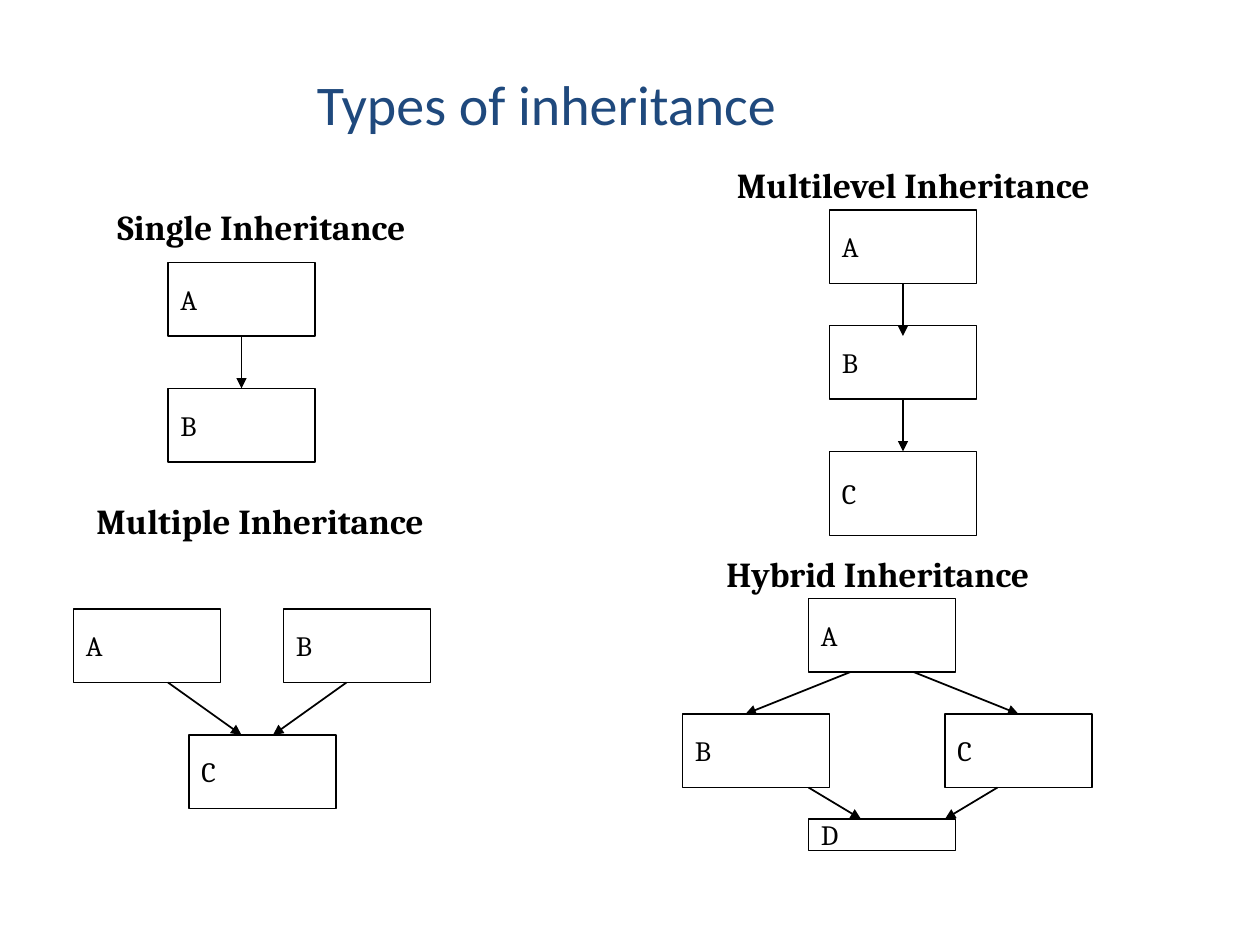
from dataclasses import dataclass

from lxml.etree import SubElement
from pptx import Presentation
from pptx.dml.color import RGBColor
from pptx.enum.shapes import MSO_CONNECTOR, MSO_SHAPE
from pptx.enum.text import MSO_ANCHOR, MSO_AUTO_SIZE, PP_ALIGN
from pptx.oxml.ns import qn
from pptx.slide import Slide
from pptx.text.text import TextFrame
from pptx.util import Cm, Pt

BLACK = "000000"
WHITE = "FFFFFF"
NAVY = "1F497D"
UNITS_PER_INCH = 12
BOX_WIDTH = 14

TITLE_FORMAT = {"name": "Calibri", "size": Pt(32), "bold": False}
TITLE_GAP_FORMAT = {"name": "Calibri", "size": Pt(44), "bold": False}
HEADING_FORMAT = {"name": "Cambria", "size": Pt(20), "bold": True}
CLASS_FORMAT = {"name": "Cambria", "size": Pt(16), "bold": False}


@dataclass
class ClassBox:
    name: str
    left: float
    top: float
    height: float = 7


@dataclass
class Arrow:
    start: tuple[float, float]
    end: tuple[float, float]


@dataclass
class Diagram:
    heading: str
    left: float
    top: float
    width: float
    boxes: list[ClassBox]
    arrows: list[Arrow]


DIAGRAMS = [
    Diagram("Single Inheritance", 10, 19, 30.5,
            [ClassBox("A", 16, 25), ClassBox("B", 16, 37)],
            [Arrow((23, 32), (23, 37))]),
    Diagram("Multiple Inheritance", 8, 47, 34.2,
            [ClassBox("A", 7, 58), ClassBox("B", 27, 58), ClassBox("C", 18, 70)],
            [Arrow((16, 65), (23, 70)), Arrow((33, 65), (26, 70))]),
    Diagram("Multilevel Inheritance", 69, 15, 36.7,
            [ClassBox("A", 79, 20), ClassBox("B", 79, 31), ClassBox("C", 79, 43, 8)],
            [Arrow((86, 27), (86, 32)), Arrow((86, 38), (86, 43))]),
    Diagram("Hybrid Inheritance", 68, 52, 31.8,
            [ClassBox("A", 77, 57), ClassBox("B", 65, 68),
             ClassBox("C", 90, 68), ClassBox("D", 77, 78, 3)],
            [Arrow((87, 64), (97, 68)), Arrow((81, 64), (71, 68)),
             Arrow((77, 75), (82, 78)), Arrow((95, 75), (90, 78))]),
]


def color(value: str) -> RGBColor:
    return RGBColor.from_string(value)


def grid(units: float) -> Cm:
    return Cm(units * 2.54 / UNITS_PER_INCH)


def add_span(frame: TextFrame, text: str, formats: dict, ink: str) -> None:
    para = frame.paragraphs[0]
    para.alignment = PP_ALIGN.LEFT
    span = para.add_run()
    span.text = text
    for attribute, value in formats.items():
        setattr(span.font, attribute, value)
    span.font.color.rgb = color(ink)


def add_label(page: Slide, left: float, top: float, width: float,
              height: float, wrap: bool) -> TextFrame:
    label = page.shapes.add_textbox(*map(grid, (left, top, width, height)))
    frame = label.text_frame
    frame.word_wrap = wrap
    frame.auto_size = MSO_AUTO_SIZE.SHAPE_TO_FIT_TEXT
    return frame


def draw_box(page: Slide, item: ClassBox) -> None:
    box = page.shapes.add_shape(
        MSO_SHAPE.RECTANGLE,
        *map(grid, (item.left, item.top, BOX_WIDTH, item.height)))
    box.shadow.inherit = False
    box.fill.solid()
    box.fill.fore_color.rgb = color(WHITE)
    box.line.color.rgb = color(BLACK)
    box.line.width = Pt(1)
    frame = box.text_frame
    frame.word_wrap = True
    frame.vertical_anchor = MSO_ANCHOR.MIDDLE
    add_span(frame, item.name, CLASS_FORMAT, BLACK)


def draw_arrow(page: Slide, item: Arrow) -> None:
    arrow = page.shapes.add_connector(
        MSO_CONNECTOR.STRAIGHT, *map(grid, item.start + item.end))
    arrow.line.color.rgb = color(BLACK)
    arrow.line.width = Pt(1)
    SubElement(arrow.line._get_or_add_ln(), qn("a:tailEnd"), type="triangle")
    SubElement(arrow._element.spPr, qn("a:effectLst"))


def draw_diagram(page: Slide, diagram: Diagram) -> None:
    frame = add_label(page, diagram.left, diagram.top, diagram.width, 5.2, False)
    add_span(frame, diagram.heading, HEADING_FORMAT, BLACK)
    for box in diagram.boxes:
        draw_box(page, box)
    for arrow in diagram.arrows:
        draw_arrow(page, arrow)


def main() -> None:
    deck = Presentation()
    deck.slide_width = Cm(25.4)
    deck.slide_height = Cm(19.05)
    page = deck.slides.add_slide(deck.slide_layouts[6])
    title = add_label(page, 29, 4, 48, 10, True)
    add_span(title, "Types of inheritance", TITLE_FORMAT, NAVY)
    add_span(title, " ", TITLE_GAP_FORMAT, NAVY)
    for diagram in DIAGRAMS:
        draw_diagram(page, diagram)
    deck.save("out.pptx")


if __name__ == "__main__":
    main()
